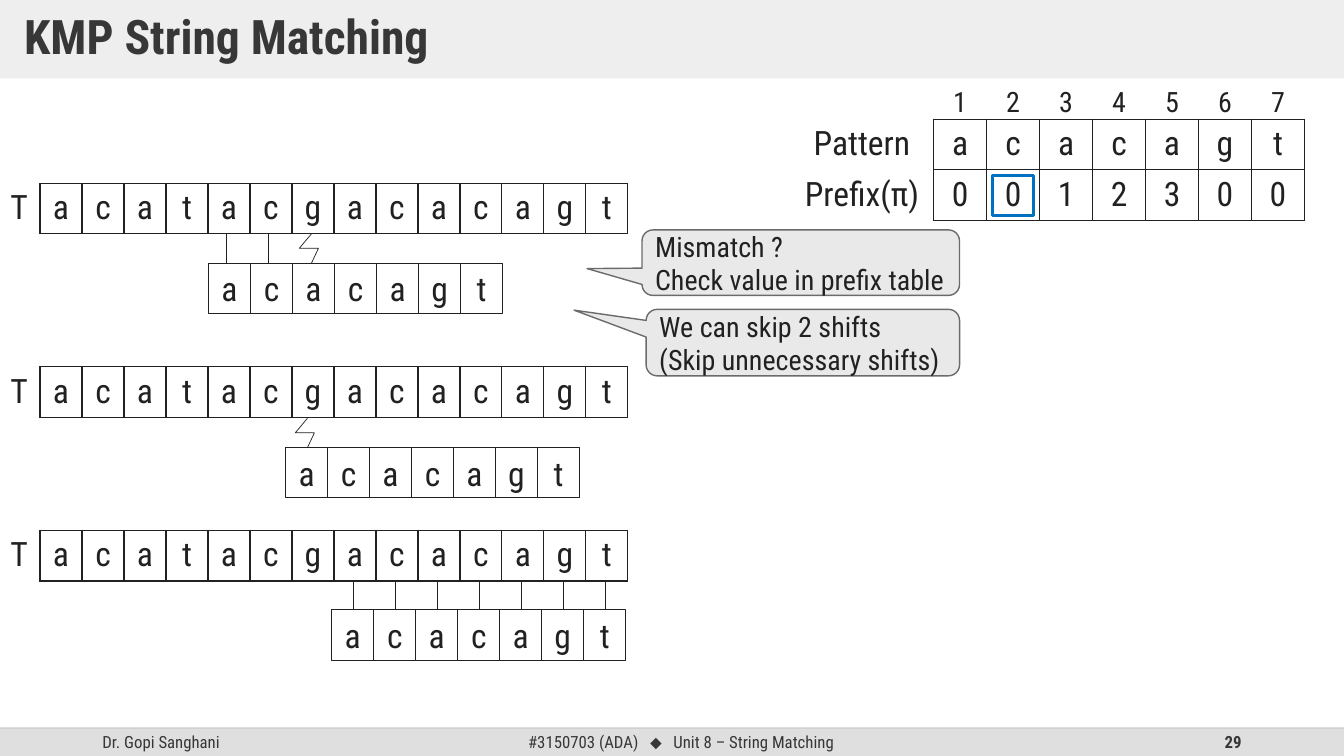
from lxml.etree import SubElement as Sub
from pptx import Presentation
from pptx.dml.color import RGBColor as RGB
from pptx.enum.shapes import MSO_CONNECTOR as LINK, MSO_SHAPE as KIND
from pptx.enum.text import MSO_ANCHOR as ANCHOR, PP_ALIGN as ALIGN
from pptx.oxml import parse_xml
from pptx.oxml.ns import nsdecls, qn
from pptx.util import Pt

FONT = "Roboto Condensed"
HUE = {"ink": "212121", "dark": "373737", "bar": "DFDFDF", "rule": "BFBFBF",
       "note": "E9E9E9", "edge": "6B6B6B", "mark": "0070C0"}
TEXT = "acatacgacacagt"
WORD = "acacagt"

deck = Presentation()
deck.slide_width, deck.slide_height = Pt(960), Pt(540)
slide = deck.slides.add_slide(deck.slide_layouts[6])
shapes = slide.shapes


def write(frame, lines, size, hue="ink", align=ALIGN.CENTER, bold=False):
    frame.word_wrap = True
    for i, line in enumerate(lines):
        para = frame.paragraphs[0] if i == 0 else frame.add_paragraph()
        para.alignment = align
        for part in line:
            run = para.add_run()
            run.text = part
            run.font.size, run.font.bold = Pt(size), bold
            run.font.name = "Arial" if part == "⬥" else FONT
            run.font.color.rgb = RGB.from_string(HUE[hue])
            if part == " ":
                run._r.get_or_add_rPr().set("spc", "550")


def draw(kind, left, top, wide, high, fill=None, line=None, weight=1):
    shape = shapes.add_shape(kind, Pt(left), Pt(top), Pt(wide), Pt(high))
    shape.shadow.inherit = False
    if fill:
        shape.fill.solid()
        shape.fill.fore_color.rgb = RGB.from_string(HUE[fill])
    else:
        shape.fill.background()
    if line:
        shape.line.color.rgb = RGB.from_string(HUE[line])
        shape.line.width = Pt(weight)
    else:
        shape.line.fill.background()
    shape.text_frame.vertical_anchor = ANCHOR.MIDDLE
    return shape


draw(KIND.RECTANGLE, 0, 520, 960, 20, "bar")
FOOT = [
    (66, 216, ["Dr. Gopi Sanghani"], ALIGN.LEFT, False),
    (318, 337, ["#3150703 (ADA)", " ", "⬥", " ", "Unit 8 – String Matching"], ALIGN.CENTER, False),
    (678, 216, ["29"], ALIGN.RIGHT, True),
]
for left, wide, parts, align, bold in FOOT:
    box = shapes.add_textbox(Pt(left), Pt(520), Pt(wide), Pt(20))
    box.text_frame.vertical_anchor = ANCHOR.MIDDLE
    write(box.text_frame, [parts], 12, "dark", align, bold)

title = draw(KIND.RECTANGLE, 0, 0, 960, 56, "bar")
frame = title.text_frame
frame.margin_left = frame.margin_right = Pt(17.3)
frame.margin_top = frame.margin_bottom = Pt(8.6)
write(frame, [["KMP String Matching"]], 34, "dark", ALIGN.LEFT, True)
frame.paragraphs[0].line_spacing = 0.9
tint = title._element.spPr.find(qn("a:solidFill"))[0]
Sub(tint, qn("a:alpha"), val="50000")

HEAD = [["", *"1234567"], ["Pattern", *WORD], ["Prefix(π)", *"0012300"]]
ROW = [["T", *TEXT]]
TABLES = [
    (564.5, 50.4, [102.4] + [37.86] * 7, [34.8, 35.8, 35.8], HEAD),
    (-1.4, 131, [30] * 15, [36], ROW),
    (-1.4, 262, [30] * 15, [36], ROW),
    (-1.4, 379, [30] * 15, [36], ROW),
]
for left, top, wides, highs, rows in TABLES:
    table = shapes.add_table(len(rows), len(wides), Pt(left), Pt(top),
                             Pt(sum(wides)), Pt(sum(highs))).table
    table.first_row = table.horz_banding = False
    for col, wide in zip(table.columns, wides):
        col.width = Pt(wide)
    for r, row in enumerate(rows):
        table.rows[r].height = Pt(highs[r])
        for c, word in enumerate(row):
            cell = table.cell(r, c)
            cell.fill.background()
            count = rows is HEAD and r == 0
            if rows is HEAD:
                cell.vertical_anchor = ANCHOR.BOTTOM if count else ANCHOR.MIDDLE
            if count:
                cell.margin_bottom = 0
            write(cell.text_frame, [[word]] if word else [], 20 if count else 24)
            sides = "LRTB"
            if count:
                sides = "B" if c else ""
            elif c == 0:
                sides = "R"
            props = cell._tc.get_or_add_tcPr()
            for i, side in enumerate("LRTB"):
                paint = "<a:noFill/>"
                if side in sides:
                    paint = f'<a:solidFill><a:srgbClr val="{HUE["ink"]}"/></a:solidFill>'
                props.insert(i, parse_xml(
                    f'<a:ln{side} {nsdecls("a")} w="12700">{paint}</a:ln{side}>'))

for left, top in [(149, 188), (204, 319.7), (237, 435.6)]:
    for i, char in enumerate(WORD):
        cell = draw(KIND.RECTANGLE, left + 30 * i, top, 30, 36, line="ink", weight=0.75)
        write(cell.text_frame, [[char]], 24)

NOTES = [
    (458.6, 164.2, 226.8, 46.8, (-0.673, 0.091), ["Mismatch ?", "Check value in prefix table"]),
    (461.5, 221, 223.9, 47.5, (-0.73, -0.488), ["We can skip 2 shifts", "(Skip unnecessary shifts)"]),
]
for left, top, wide, high, tip, lines in NOTES:
    note = draw(KIND.ROUNDED_RECTANGULAR_CALLOUT, left, top, wide, high, "note", "edge")
    note.adjustments[0], note.adjustments[1] = tip
    write(note.text_frame, [[line] for line in lines], 20, align=ALIGN.LEFT)

for x, y in [(222.5, 167), (219.6, 298.8)]:
    path = shapes.build_freeform(Pt(x), Pt(y))
    path.add_line_segments([(Pt(x + dx), Pt(y + dy)) for dx, dy in
                            [(-8.7, 10.4), (5, 10.4), (0, 21)]], close=False)
    bolt = path.convert_to_shape()
    bolt.shadow.inherit = False
    bolt.fill.background()
    bolt.line.color.rgb = RGB.from_string(HUE["ink"])
    bolt.line.width = Pt(0.5)

LINES = [(0, 520, 960, 520, "rule", 1)]
LINES += [(x, 188, x, 167, "ink", 0.5) for x in (162, 191.6)]
LINES += [(252.6 + 30 * i, 435, 252.6 + 30 * i, 414, "ink", 0.5) for i in range(7)]
for x1, y1, x2, y2, hue, weight in LINES:
    link = shapes.add_connector(LINK.STRAIGHT, Pt(x1), Pt(y1), Pt(x2), Pt(y2))
    link.line.color.rgb = RGB.from_string(HUE[hue])
    link.line.width = Pt(weight)
    if hue == "rule":
        tint = link._element.spPr.find(qn("a:ln")).find(qn("a:solidFill"))[0]
        Sub(tint, qn("a:alpha"), val="70000")
    Sub(link._element.spPr, qn("a:effectLst"))

draw(KIND.RECTANGLE, 709.2, 125.3, 28.8, 28.8, line="mark", weight=2.25)

deck.save("out.pptx")
